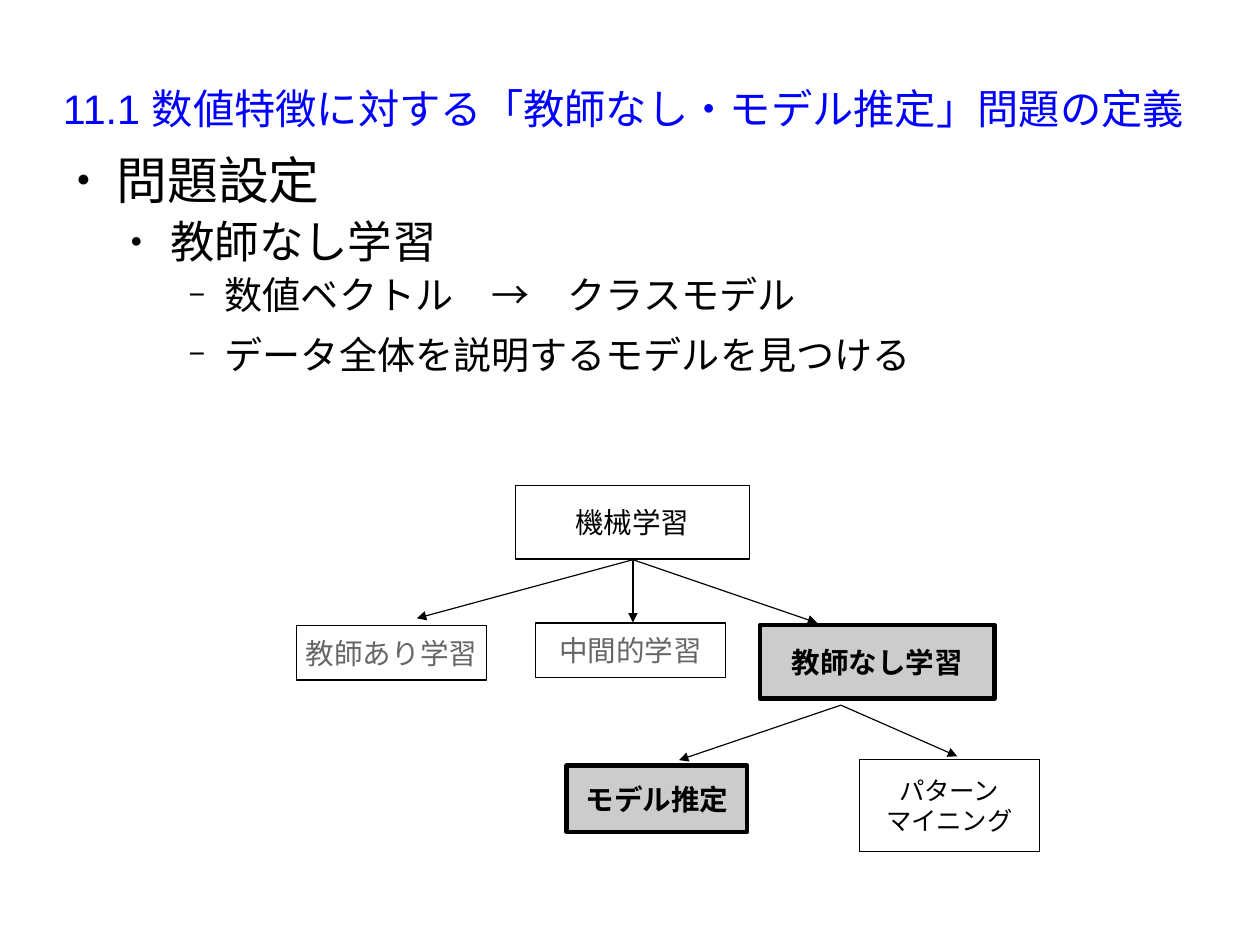
from typing import NamedTuple

from lxml.etree import SubElement as Sub
from pptx import Presentation
from pptx.dml.color import RGBColor
from pptx.enum.shapes import MSO_CONNECTOR as Conn, MSO_SHAPE as Shape
from pptx.enum.text import MSO_ANCHOR as Anchor, PP_ALIGN as Align
from pptx.oxml.ns import qn
from pptx.util import Pt

LATIN, CJK = "Arial", "Noto Sans CJK JP"
BLACK, GREY, BLUE = "000000", "666666", "0000FF"


class Item(NamedTuple):
    text: str
    size: float
    left: float
    hang: float
    after: float
    mark: str
    scale: int


class Box(NamedTuple):
    text: str
    left: float
    top: float
    width: float
    height: float
    color: str = BLACK
    size: float = 18
    key: bool = False


class Arrow(NamedTuple):
    start: tuple[float, float]
    end: tuple[float, float]


ROOT, FORK = (398.7, 352.6), (529.7, 444.2)

ITEMS = [
    Item("問題設定", 32, 33.8, 25.2, 2.8, "●", 45),
    Item("教師なし学習", 28, 67.7, 25.2, 2.8, "●", 45),
    Item("数値ベクトル　→　クラスモデル", 24, 102, 22.7, 8.5, "−", 75),
    Item("データ全体を説明するモデルを見つける", 24, 102, 22.7, 8.5, "−", 75),
]
BOXES = [
    Box("機械学習", 324.5, 305.8, 147.6, 46.4),
    Box("教師あり学習", 186.9, 393.8, 119.5, 34.6, GREY),
    Box("中間的学習", 337.5, 392.4, 119.5, 34.6, GREY),
    Box("教師なし学習", 478.8, 393.7, 147.6, 46.4, key=True),
    Box("モデル推定", 357, 482.3, 113.6, 41.8, key=True),
    Box("パターン\nマイニング", 541.4, 478.6, 113.3, 57.6, size=16),
]
ARROWS = [
    Arrow(ROOT, (262.6, 389.5)),
    Arrow(ROOT, (398.7, 392.2)),
    Arrow(ROOT, (514.8, 392.4)),
    Arrow(FORK, (427.7, 478.8)),
    Arrow(FORK, (603, 476.4)),
]


def rgb(code: str) -> RGBColor:
    return RGBColor.from_string(code)


def style(para, size: float, color: str, face: str, bold: bool = False) -> None:
    for run in para.runs:
        font = run.font
        font.size, font.bold, font.name = Pt(size), bold, face
        font.color.rgb = rgb(color)
        Sub(font._element, qn("a:ea")).set("typeface", CJK)


def add_text(slide, left: float, top: float, width: float, height: float):
    frame = slide.shapes.add_textbox(
        Pt(left), Pt(top), Pt(width), Pt(height)).text_frame
    frame.margin_left = frame.margin_right = 0
    frame.margin_top = frame.margin_bottom = 0
    return frame


def add_title(slide, text: str) -> None:
    frame = add_text(slide, 39.6, 28.3, 714.3, 79.9)
    frame.word_wrap = True
    frame.vertical_anchor = Anchor.MIDDLE
    frame.text = text
    style(frame.paragraphs[0], 26, BLUE, LATIN)


def add_list(slide, items: list[Item]) -> None:
    frame = add_text(slide, 39.6, 93.6, 714.3, 345.6)
    frame.word_wrap = True
    frame.text = "\n".join(item.text for item in items)
    for para, item in zip(frame.paragraphs, items):
        props = para._p.get_or_add_pPr()
        props.set("marL", str(Pt(item.left)))
        props.set("indent", str(-Pt(item.hang)))
        tint = Sub(props, qn("a:buClr"))
        Sub(tint, qn("a:srgbClr")).set("val", BLACK)
        Sub(props, qn("a:buSzPct")).set("val", str(item.scale * 1000))
        Sub(props, qn("a:buFont")).set("typeface", LATIN)
        Sub(props, qn("a:buChar")).set("char", item.mark)
        para.space_after = Pt(item.after)
        style(para, item.size, BLACK, LATIN)


def add_box(slide, box: Box) -> None:
    shape = slide.shapes.add_shape(
        Shape.RECTANGLE, Pt(box.left), Pt(box.top), Pt(box.width), Pt(box.height))
    shape.shadow.inherit = False
    shape.fill.solid()
    shape.fill.fore_color.rgb = rgb("CCCCCC" if box.key else "FFFFFF")
    shape.line.color.rgb = rgb(BLACK)
    shape.line.width = Pt(2.83 if box.key else 0)
    frame = shape.text_frame
    frame.word_wrap = False
    frame.vertical_anchor = Anchor.MIDDLE
    frame.text = box.text
    for para in frame.paragraphs:
        para.alignment = Align.CENTER
        style(para, box.size, box.color, CJK, box.key)


def add_arrow(slide, arrow: Arrow) -> None:
    line = slide.shapes.add_connector(
        Conn.STRAIGHT, *(Pt(v) for v in arrow.start + arrow.end))
    line.line.color.rgb = rgb(BLACK)
    line.line.width = Pt(0.75)
    Sub(line.line._get_or_add_ln(), qn("a:tailEnd")).set("type", "triangle")
    Sub(line._element.spPr, qn("a:effectLst"))


def main() -> None:
    deck = Presentation()
    deck.slide_width, deck.slide_height = Pt(793.7), Pt(595.28)
    slide = deck.slides.add_slide(deck.slide_layouts[6])

    # Heading and bullets
    add_title(slide, "11.1 数値特徴に対する「教師なし・モデル推定」問題の定義")
    add_list(slide, ITEMS)

    # Tree of learning types
    for box in BOXES:
        add_box(slide, box)
    for arrow in ARROWS:
        add_arrow(slide, arrow)

    deck.save("out.pptx")


if __name__ == "__main__":
    main()
